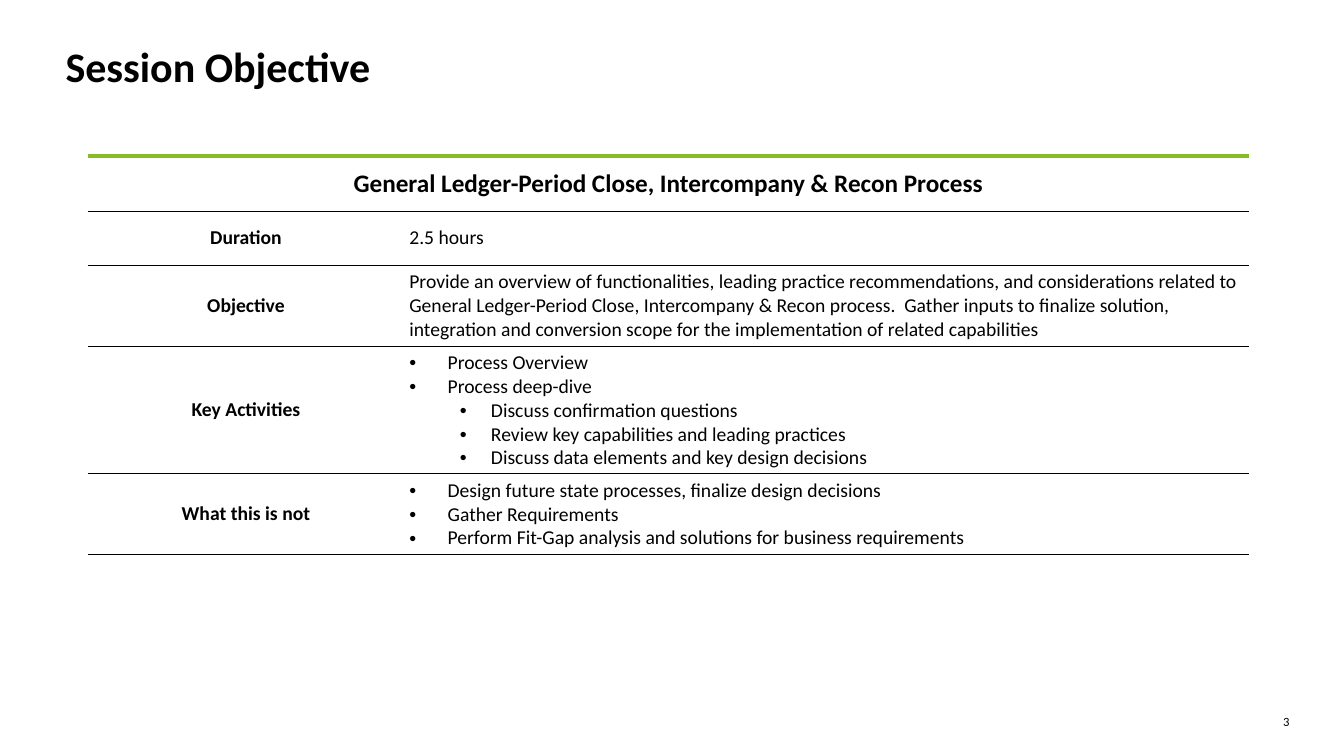
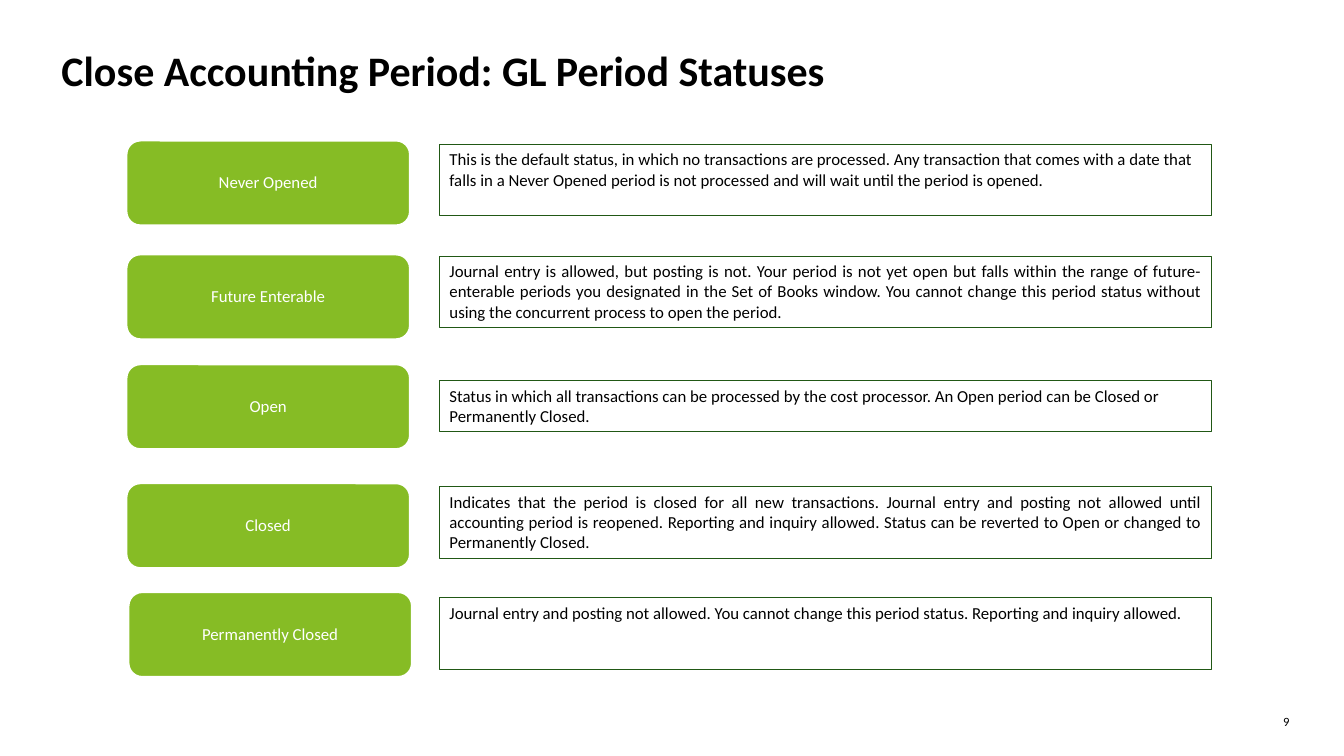
"""Builds the session objective and period status slides."""
import pptx
import pptx.dml.color
import pptx.enum.shapes
import pptx.enum.text
import pptx.oxml
import pptx.oxml.ns
import pptx.util

Inches = pptx.util.Inches
Pt = pptx.util.Pt
RGBColor = pptx.dml.color.RGBColor
PP_ALIGN = pptx.enum.text.PP_ALIGN
ANCHOR = pptx.enum.text.MSO_ANCHOR
SHAPE = pptx.enum.shapes.MSO_SHAPE

BLACK = RGBColor(0x00, 0x00, 0x00)
WHITE = RGBColor(0xFF, 0xFF, 0xFF)
GREEN = RGBColor(0x86, 0xBC, 0x25)
DARK_GREEN = RGBColor(0x21, 0x58, 0x15)
FONT = "Calibri"

HEADING = "General Ledger-Period Close, Intercompany & Recon Process"
SESSION_ROWS = [
    ("Duration", 0.54, [(None, "2.5 hours")]),
    ("Objective", 0.8, [
        (None, "Provide an overview of functionalities, leading practice recommendations, "
               "and considerations related to General Ledger-Period Close, Intercompany & "
               "Recon process.  Gather inputs to finalize solution, integration and "
               "conversion scope for the implementation of related capabilities")]),
    ("Key Activities", 1.26, [
        (0, "Process Overview"),
        (0, "Process deep-dive"),
        (1, "Discuss confirmation questions"),
        (1, "Review key capabilities and leading practices"),
        (1, "Discuss data elements and key design decisions")]),
    ("What this is not", 0.8, [
        (0, "Design future state processes, finalize design decisions"),
        (0, "Gather Requirements"),
        (0, "Perform Fit-Gap analysis and solutions for business requirements")]),
]
BULLET_INDENTS = [(0.38, -0.38), (0.81, -0.31)]

STATUSES = [
    ("Never Opened", (1.25, 1.39), (1.43, 0.71), PP_ALIGN.LEFT,
     "This is the default status, in which no transactions are processed. Any transaction "
     "that comes with a date that falls in a Never Opened period is not processed and will "
     "wait until the period is opened."),
    ("Future Enterable", (1.25, 2.52), (2.54, 0.71), PP_ALIGN.JUSTIFY,
     "Journal entry is allowed, but posting is not. Your period is not yet open but falls "
     "within the range of future-enterable periods you designated in the Set of Books "
     "window. You cannot change this period status without using the concurrent process "
     "to open the period."),
    ("Open", (1.25, 3.61), (3.78, 0.5), PP_ALIGN.LEFT,
     "Status in which all transactions can be processed by the cost processor. An Open "
     "period can be Closed or Permanently Closed."),
    ("Closed", (1.25, 4.79), (4.83, 0.71), PP_ALIGN.JUSTIFY,
     "Indicates that the period is closed for all new transactions. Journal entry and "
     "posting not allowed until accounting period is reopened. Reporting and inquiry "
     "allowed. Status can be reverted to Open or changed to Permanently Closed."),
    ("Permanently Closed", (1.27, 5.87), (5.93, 0.71), PP_ALIGN.JUSTIFY,
     "Journal entry and posting not allowed. You cannot change this period status. "
     "Reporting and inquiry allowed."),
]


def apply(obj, **values):
    """Set each named attribute on an object."""
    for name, value in values.items():
        setattr(obj, name, value)


def margins(x, y):
    """Return equal horizontal and vertical margins as format values."""
    return dict(margin_left=Inches(x), margin_right=Inches(x),
                margin_top=Inches(y), margin_bottom=Inches(y))


def write(p, text, size, color=BLACK, bold=False, **paragraph):
    """Add one formatted run to a paragraph."""
    apply(p, **paragraph)
    r = p.add_run()
    r.text = text
    apply(r.font, name=FONT, size=Pt(size), bold=bold)
    r.font.color.rgb = color


def add_xml(parent, xml):
    """Append a drawing element given as markup."""
    opening, rest = xml.split(" ", 1)
    namespace = pptx.oxml.ns.nsdecls("a")
    parent.append(pptx.oxml.parse_xml(f"{opening} {namespace} {rest}"))


def add_bullet(p, level):
    """Give a paragraph a black round bullet and hanging indent."""
    left, hang = BULLET_INDENTS[level]
    p.level = level
    pPr = p._p.get_or_add_pPr()
    pPr.set("marL", str(Inches(left)))
    pPr.set("indent", str(Inches(hang)))
    add_xml(pPr, f'<a:buClr ><a:srgbClr val="{BLACK}"/></a:buClr>')
    add_xml(pPr, '<a:buFont typeface="Arial"/>')
    add_xml(pPr, '<a:buChar char="•"/>')


def format_cell(cell, top=(BLACK, 0.25)):
    """Clear the fill and draw only the top and bottom borders."""
    apply(cell, vertical_anchor=ANCHOR.MIDDLE, **margins(0.05, 0.05))
    tcPr = cell._tc.get_or_add_tcPr()
    for side in "LR":
        add_xml(tcPr, f'<a:ln{side} w="0"><a:noFill/></a:ln{side}>')
    for side, (color, width) in (("T", top), ("B", (BLACK, 0.25))):
        add_xml(tcPr, f'<a:ln{side} w="{Pt(width)}"><a:solidFill>'
                      f'<a:srgbClr val="{color}"/></a:solidFill></a:ln{side}>')
    cell.fill.background()


def add_slide(prs, title, number, left, top, width, height):
    """Add a slide with its title and page number."""
    s = prs.slides.add_slide(prs.slide_layouts[5])
    sp = s.shapes.title
    apply(sp, left=Inches(left), top=Inches(top), width=Inches(width), height=Inches(height))
    tf = sp.text_frame
    apply(tf, word_wrap=True, auto_size=pptx.enum.text.MSO_AUTO_SIZE.NONE,
          vertical_anchor=ANCHOR.TOP)
    write(tf.paragraphs[0], title, 30, bold=True, alignment=PP_ALIGN.LEFT)
    tf = s.shapes.add_textbox(Inches(12.45), Inches(7.08), Inches(0.34), Inches(0.15)).text_frame
    apply(tf, word_wrap=True, **margins(0, 0))
    write(tf.paragraphs[0], number, 9, alignment=PP_ALIGN.RIGHT)
    return s


def add_box(s, kind, at, fill, line, width):
    """Add a flat preset shape and return it."""
    sp = s.shapes.add_shape(kind, *map(Inches, at))
    sp.shadow.inherit = False
    if fill is None:
        sp.fill.background()
    else:
        sp.fill.solid()
        sp.fill.fore_color.rgb = fill
    sp.line.color.rgb = line
    sp.line.width = Pt(width)
    sp.text_frame.word_wrap = True
    return sp


def add_session_table(s):
    """Add the session table below a merged heading row."""
    heights = [0.54] + [height for _, height, _ in SESSION_ROWS]
    table = s.shapes.add_table(len(heights), 2, Inches(0.87), Inches(1.55),
                               Inches(11.52), Inches(sum(heights))).table
    apply(table, first_row=False, horz_banding=False)
    for column, width in zip(table.columns, (3.14, 8.38)):
        column.width = Inches(width)
    for row, height in zip(table.rows, heights):
        row.height = Inches(height)

    heading = table.cell(0, 0)
    heading.merge(table.cell(0, 1))
    for column in range(2):
        format_cell(table.cell(0, column), top=(GREEN, 3))
    write(heading.text_frame.paragraphs[0], HEADING, 18, bold=True, alignment=PP_ALIGN.CENTER)

    for i, (label, _, lines) in enumerate(SESSION_ROWS, 1):
        label_cell, detail_cell = table.cell(i, 0), table.cell(i, 1)
        format_cell(label_cell)
        format_cell(detail_cell)
        write(label_cell.text_frame.paragraphs[0], label, 14, bold=True,
              alignment=PP_ALIGN.CENTER)
        tf = detail_cell.text_frame
        for j, (level, text) in enumerate(lines):
            p = tf.add_paragraph() if j else tf.paragraphs[0]
            if level is not None:
                add_bullet(p, level)
            write(p, text, 14)


def add_status(s, name, label_at, box_y, alignment, description):
    """Add a status label and its outlined description."""
    sp = add_box(s, SHAPE.ROUNDED_RECTANGLE, (*label_at, 2.82, 0.85), GREEN, WHITE, 2)
    tf = sp.text_frame
    apply(tf, vertical_anchor=ANCHOR.MIDDLE, **margins(0.05, 0.03))
    write(tf.paragraphs[0], name, 12, WHITE, alignment=PP_ALIGN.CENTER, line_spacing=0.9)

    top, height = box_y
    sp = add_box(s, SHAPE.RECTANGLE, (4.36, top, 7.66, height), None, DARK_GREEN, 0.75)
    tf = sp.text_frame
    tf.vertical_anchor = ANCHOR.TOP
    write(tf.paragraphs[0], description, 12, alignment=alignment)


def main():
    """Build and save the presentation."""
    prs = pptx.Presentation()
    apply(prs, slide_width=Inches(13.33), slide_height=Inches(7.5))
    s = add_slide(prs, "Session Objective", "3", 0.55, 0.35, 12.24, 0.37)
    add_session_table(s)
    s = add_slide(prs, "Close Accounting Period: GL Period Statuses", "9",
                  0.51, 0.39, 12.31, 0.48)
    for status in STATUSES:
        add_status(s, *status)
    prs.save("out.pptx")


if __name__ == "__main__":
    main()
